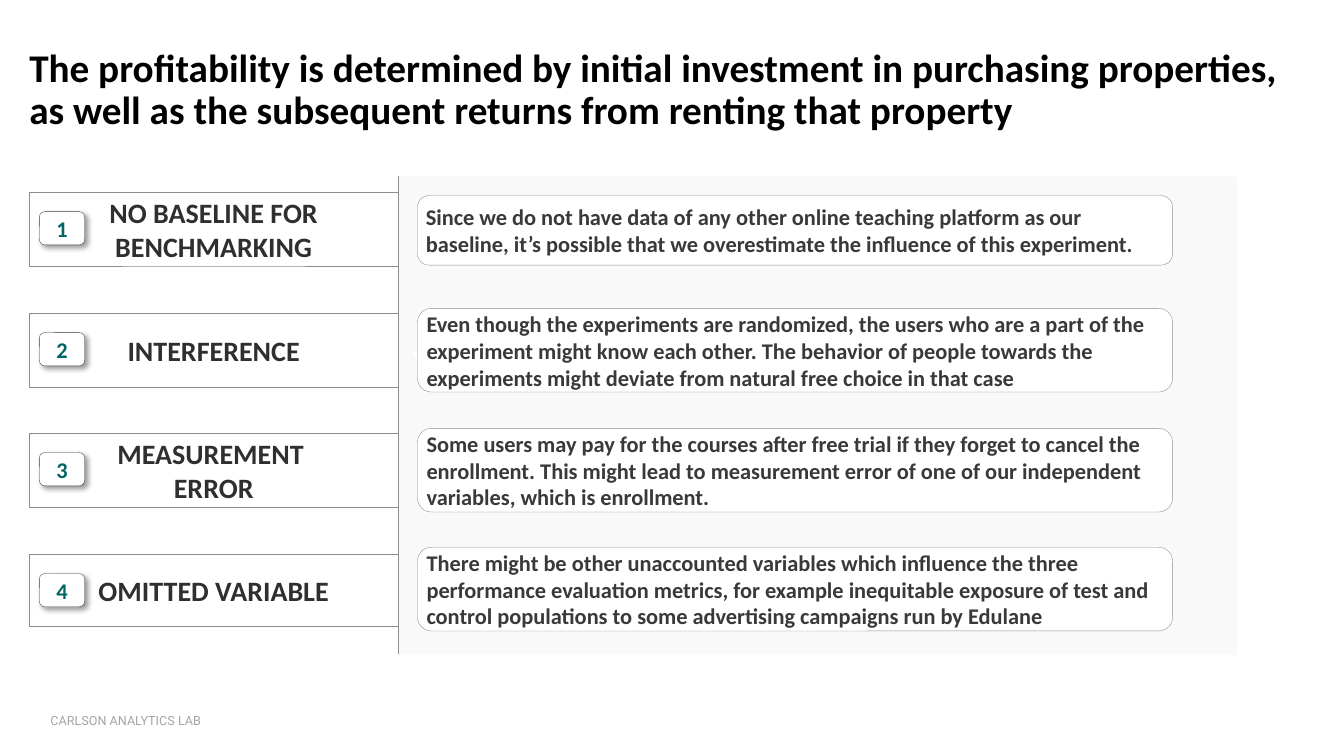
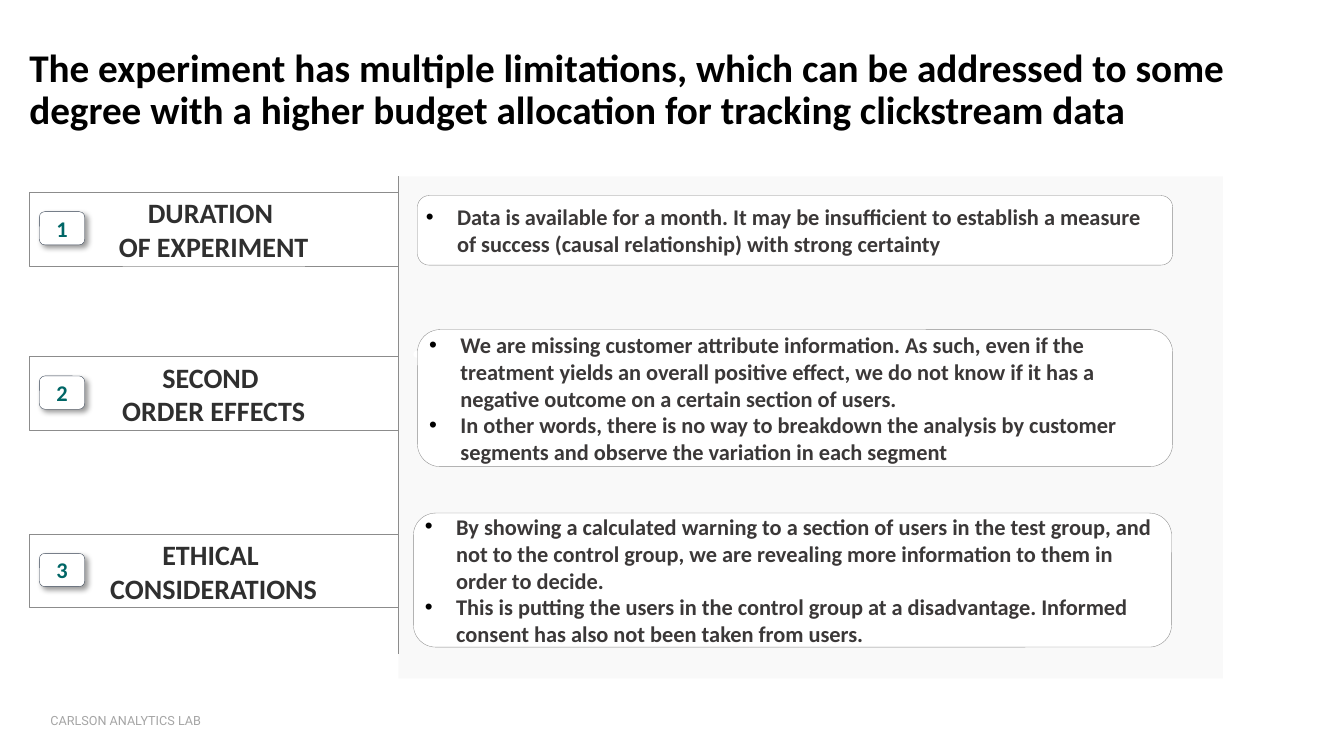
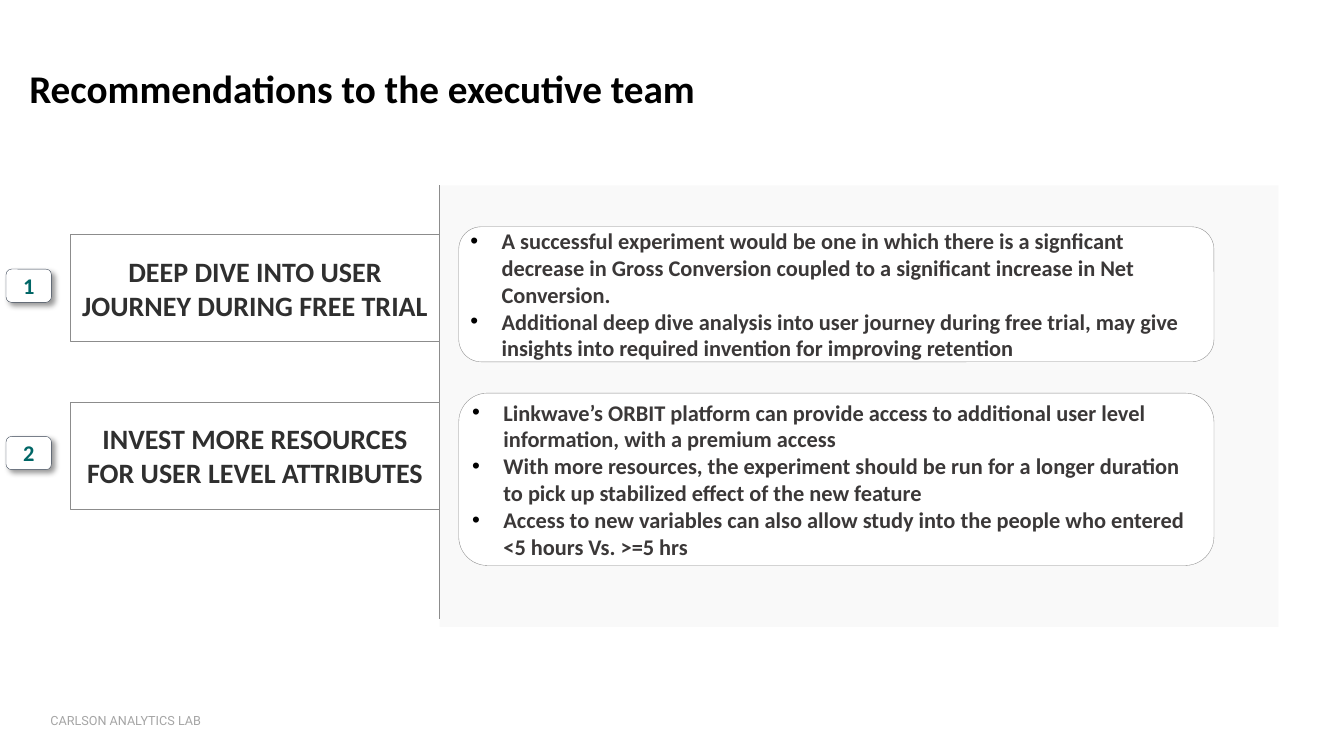
from dataclasses import dataclass

from lxml.etree import SubElement
from pptx import Presentation
from pptx.dml.color import RGBColor
from pptx.enum.shapes import MSO_CONNECTOR, MSO_SHAPE
from pptx.enum.text import MSO_ANCHOR, MSO_AUTO_SIZE, PP_ALIGN
from pptx.oxml.ns import qn
from pptx.util import Inches, Pt

COLORS = {
    "white": "FFFFFF",
    "title": "000000",
    "panel": "F2F2F2",
    "rule": "8C8C8C",
    "label": "2F2F2F",
    "body": "3B3838",
    "badge": "006666",
    "badge_line": "333F50",
    "footer": "A5A5A5",
    "black": "000000",
}


@dataclass
class Row:
    label: list
    label_top: float
    body: list
    body_top: float
    body_height: float
    label_height: float = 0.73
    body_left: float = 0.19
    body_width: float = 7.49


def rgb(name):
    return RGBColor.from_string(COLORS[name])


def add_alpha(color, percent):
    SubElement(color, qn("a:alpha"), val=str(percent * 1000))


def add_bullet(p):
    pPr = p._p.get_or_add_pPr()
    pPr.set("marL", str(Inches(0.31)))
    pPr.set("indent", str(-Inches(0.31)))
    color = SubElement(pPr, qn("a:buClr"))
    SubElement(color, qn("a:srgbClr"), val=COLORS["black"])
    SubElement(pPr, qn("a:buFont"), typeface="Arial")
    SubElement(pPr, qn("a:buChar"), char="•")


def write(sp, paragraphs, size, color, font="Calibri", bold=True, align=PP_ALIGN.LEFT,
          insets=(0.05, 0.05, 0.05, 0.05), wrap=True, bullets=False, spacing=None):
    tf = sp.text_frame
    tf.auto_size = MSO_AUTO_SIZE.NONE
    tf.word_wrap = wrap
    tf.vertical_anchor = MSO_ANCHOR.MIDDLE
    tf.margin_left, tf.margin_top, tf.margin_right, tf.margin_bottom = map(Inches, insets)
    for i, text in enumerate(paragraphs):
        p = tf.add_paragraph() if i else tf.paragraphs[0]
        p.alignment = align
        if spacing:
            p.line_spacing = spacing
        if bullets:
            add_bullet(p)
        r = p.add_run()
        r.text = text
        r.font.name = font
        r.font.size = Pt(size)
        r.font.bold = bold
        r.font.color.rgb = rgb(color)


def add_box(s, kind, left, top, width, height, fill="white", line=None, line_width=0.5):
    sp = s.shapes.add_shape(kind, Inches(left), Inches(top), Inches(width), Inches(height))
    sp.shadow.inherit = False
    sp.fill.solid()
    sp.fill.fore_color.rgb = rgb(fill)
    if line:
        sp.line.color.rgb = rgb(line)
        sp.line.width = Pt(line_width)
    else:
        sp.line.fill.background()
    return sp


def add_rule(s, left, top, height):
    x = Inches(left)
    line = s.shapes.add_connector(MSO_CONNECTOR.STRAIGHT, x, Inches(top), x, Inches(top + height))
    line.line.color.rgb = rgb("rule")
    line.line.width = Pt(0.75)
    SubElement(line._element.spPr, qn("a:effectLst"))


def add_badge(s, left, top, number):
    sp = add_box(s, MSO_SHAPE.ROUNDED_RECTANGLE, left, top, 0.45, 0.33,
                 line="badge_line", line_width=0.25)
    effects = sp._element.spPr.find(qn("a:effectLst"))
    shadow = SubElement(effects, qn("a:outerShdw"), blurRad=str(Pt(4)), dist=str(Pt(3)),
                        dir="2700000", algn="tl", rotWithShape="0")
    add_alpha(SubElement(shadow, qn("a:srgbClr"), val=COLORS["black"]), 40)
    write(sp, [str(number)], 16, "badge", align=PP_ALIGN.CENTER, wrap=False)


def add_row(s, left, top, number, row, badge_left, badge_drop, bullets):
    label_width = 3.66
    label = add_box(s, MSO_SHAPE.RECTANGLE, left - label_width, top + row.label_top,
                    label_width, row.label_height, line="rule")
    write(label, row.label, 20, "label", align=PP_ALIGN.CENTER, insets=(0.1, 0.1, 0.1, 0.1))
    body = add_box(s, MSO_SHAPE.ROUNDED_RECTANGLE, left + row.body_left, top + row.body_top,
                   row.body_width, row.body_height, line="rule", line_width=0.25)
    write(body, row.body, 16, "body", bullets=bullets)
    add_badge(s, left + badge_left, top + row.label_top + badge_drop, number)


def add_panel(s, left, top, width, height, rule_height, rows,
              badge_left=-3.56, badge_drop=0.19, bullets=True, dot=True):
    panel = add_box(s, MSO_SHAPE.RECTANGLE, left, top, width, height, fill="panel")
    add_alpha(panel._element.spPr.find(qn("a:solidFill"))[0], 41)
    if dot:
        add_box(s, MSO_SHAPE.OVAL, left + 0.15, top + 1.73, 0.07, 0.07)
    add_rule(s, left, top, rule_height)
    for number, row in enumerate(rows, 1):
        add_row(s, left, top, number, row, badge_left, badge_drop, bullets)


def add_slide(prs, title):
    s = prs.slides.add_slide(prs.slide_layouts[5])
    sp = s.shapes.title
    sp.left, sp.top, sp.width, sp.height = map(Inches, (0.29, 0.25, 12.75, 1.3))
    write(sp, [title], 28, "title", insets=(0, 0, 0, 0), spacing=0.9)
    footer = s.shapes.add_textbox(*map(Inches, (0.5, 6.98, 3.24, 0.33)))
    write(footer, ["CARLSON ANALYTICS LAB"], 9, "footer", font="Roboto", bold=False,
          insets=(0, 0.05, 0.1, 0.05))
    return s


def build_threats(prs):
    s = add_slide(prs, "The profitability is determined by initial investment in purchasing "
                       "properties, as well as the subsequent returns from renting that property")
    rows = [
        Row(["NO BASELINE FOR BENCHMARKING"], 0.16,
            ["Since we do not have data of any other online teaching platform as our baseline, "
             "it’s possible that we overestimate the influence of this experiment."], 0.19, 0.69),
        Row(["INTERFERENCE"], 1.36,
            ["Even though the experiments are randomized, the users who are a part of the "
             "experiment might know each other. The behavior of people towards the experiments "
             "might deviate from natural free choice in that case"], 1.31, 0.83),
        Row(["MEASUREMENT ", "ERROR"], 2.55,
            ["Some users may pay for the courses after free trial if they forget to cancel the "
             "enrollment. This might lead to measurement error of one of our independent "
             "variables, which is enrollment."], 2.5, 0.83),
        Row(["OMITTED VARIABLE"], 3.75,
            ["There might be other unaccounted variables which influence the three performance "
             "evaluation metrics, for example inequitable exposure of test and control "
             "populations to some advertising campaigns run by Edulane"], 3.68, 0.83,
            label_height=0.71),
    ]
    add_panel(s, 3.95, 1.75, 8.32, 4.75, 4.74, rows, bullets=False)


def build_limitations(prs):
    s = add_slide(prs, "The experiment has multiple limitations, which can be addressed to some "
                       "degree with a higher budget allocation for tracking clickstream data")
    rows = [
        Row(["DURATION ", "OF EXPERIMENT"], 0.16,
            ["Data is available for a month. It may be insufficient to establish a measure of "
             "success (causal relationship) with strong certainty"], 0.19, 0.69),
        Row(["SECOND ", "ORDER EFFECTS"], 1.79,
            ["We are missing customer attribute information. As such, even if the treatment "
             "yields an overall positive effect, we do not know if it has a negative outcome on "
             "a certain section of users.",
             "In other words, there is no way to breakdown the analysis by customer segments and "
             "observe the variation in each segment"], 1.52, 1.36),
        Row(["ETHICAL ", "CONSIDERATIONS"], 3.55,
            ["By showing a calculated warning to a section of users in the test group, and not "
             "to the control group, we are revealing more information to them in order to "
             "decide.",
             "This is putting the users in the control group at a disadvantage. Informed consent "
             "has also not been taken from users."], 3.34, 1.33,
            body_left=0.15, body_width=7.52),
    ]
    add_panel(s, 3.95, 1.75, 8.18, 4.98, 4.74, rows)


def build_recommendations(prs):
    s = add_slide(prs, "Recommendations to the executive team")
    rows = [
        Row(["DEEP DIVE INTO USER JOURNEY DURING FREE TRIAL"], 0.49,
            ["A successful experiment would be one in which there is a signficant decrease in "
             "Gross Conversion coupled to a significant increase in Net Conversion.",
             "Additional deep dive analysis into user journey during free trial, may give "
             "insights into required invention for improving retention"], 0.41, 1.34,
            label_height=1.06),
        Row(["INVEST MORE RESOURCES FOR USER LEVEL ATTRIBUTES"], 2.15,
            ["Linkwave’s ORBIT platform can provide access to additional user level "
             "information, with a premium access",
             "With more resources, the experiment should be run for a longer duration to pick up "
             "stabilized effect of the new feature",
             "Access to new variables can also allow study into the people who entered <5 hours "
             "Vs. >=5 hrs"], 2.06, 1.71, label_height=1.06),
    ]
    add_panel(s, 4.36, 1.84, 8.32, 4.38, 4.3, rows, badge_left=-4.3, badge_drop=0.34, dot=False)


def main():
    prs = Presentation()
    prs.slide_width = Inches(13.33)
    prs.slide_height = Inches(7.5)
    build_threats(prs)
    build_limitations(prs)
    build_recommendations(prs)
    prs.save("out.pptx")


if __name__ == "__main__":
    main()
